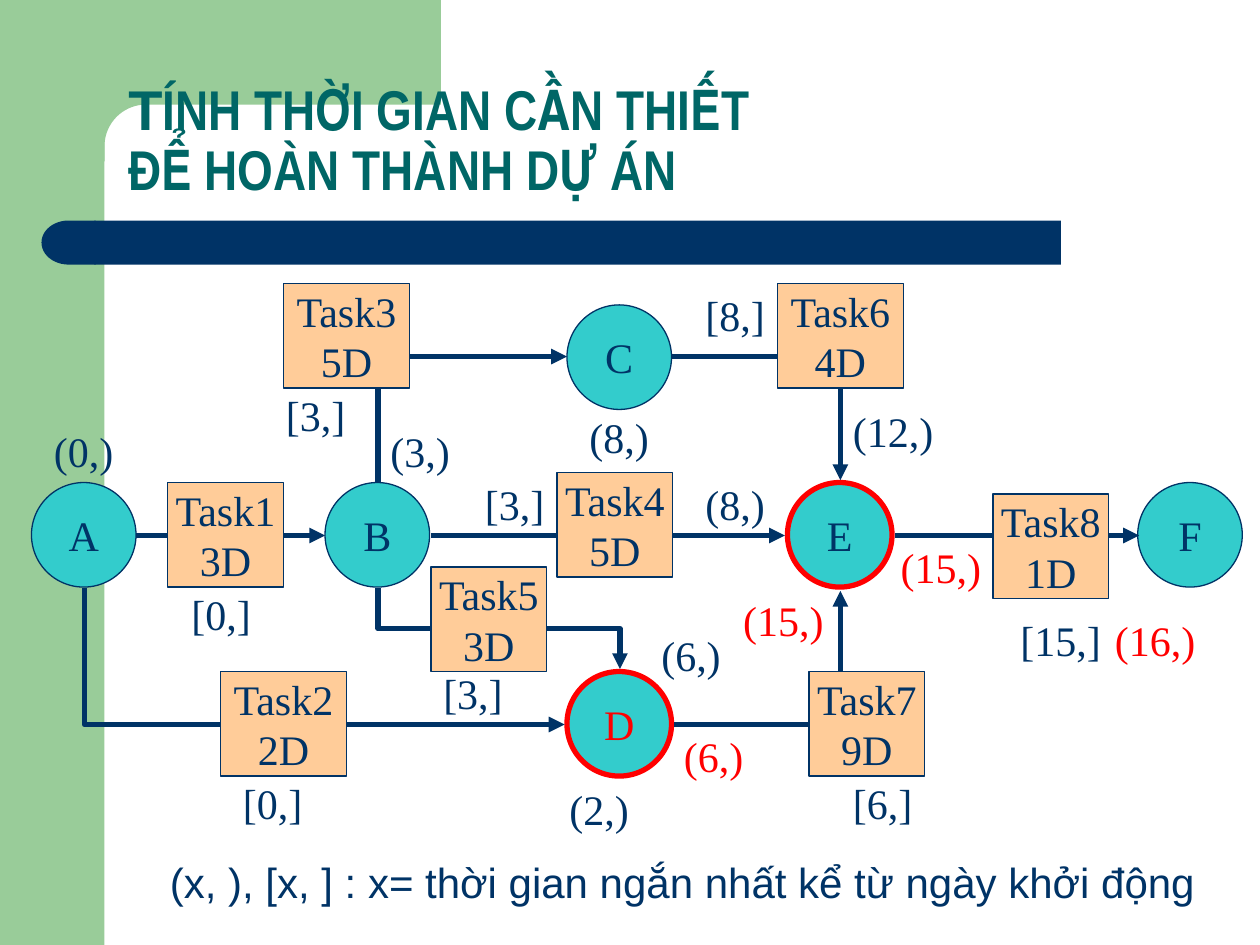
import math
from pptx import Presentation
from pptx import util as u
from pptx.dml import color
from pptx.enum import shapes, text
from pptx.oxml import ns, xmlchemy

NAVY, RED, GREEN, TEAL = "003366", "FF0000", "99CC99", "006666"
CYAN, PEACH = "33CCCC", "FFCC99"
SERIF = "Times New Roman"
KIND = shapes.MSO_SHAPE
SIZE = 0.83  # diameter of an event circle and height of a task box


def rgb(code):
    """Turn a hex string into a colour."""
    return color.RGBColor.from_string(code)


def style(run, size, font, code, bold=False):
    """Format one run."""
    run.font.size, run.font.name, run.font.bold = u.Pt(size), font, bold
    run.font.color.rgb = rgb(code)


def paint(shape, fill, edge=None, width=0.74):
    """Give a shape a flat fill and an optional outline."""
    shape.shadow.inherit = False
    shape.fill.solid()
    shape.fill.fore_color.rgb = rgb(fill)
    if edge:
        shape.line.color.rgb = rgb(edge)
        shape.line.width = u.Pt(width)
    else:
        shape.line.fill.background()


def block(slide, kind, box, fill, edge=None, width=0.74):
    """Add a painted preset shape in the box."""
    shape = slide.shapes.add_shape(kind, *map(u.Inches, box))
    paint(shape, fill, edge, width)
    return shape


def write(shape, words, ink):
    """Centre serif lines in a shape without wrapping."""
    frame = shape.text_frame
    frame.text = words
    frame.word_wrap = False
    frame.vertical_anchor = text.MSO_ANCHOR.MIDDLE
    for para in frame.paragraphs:
        para.alignment = text.PP_ALIGN.CENTER
        style(para.runs[0], 24, SERIF, ink)


def label(slide, words, box, ink=NAVY, font=SERIF):
    """Add a left-aligned label in the box."""
    frame = slide.shapes.add_textbox(*map(u.Inches, box)).text_frame
    frame.text = words
    frame.word_wrap = True
    style(frame.paragraphs[0].runs[0], 24, font, ink)


def frame_art(slide, height):
    """Draw the green side, its rounded corner and the navy bar."""
    block(slide, KIND.RECTANGLE, (0, 0, SIZE, height), GREEN)
    rad = 0.33
    mid = SIZE + rad
    arc = [(mid - rad * math.sin(math.radians(a)), mid - rad * math.cos(math.radians(a)))
           for a in range(0, 91, 5)]
    dots = [(3.5, SIZE)] + arc + [(SIZE, 1.28), (0.5, 1.28), (0.5, 0)]
    pen = slide.shapes.build_freeform(u.Inches(3.5), 0, scale=1.0)
    pen.add_line_segments([(u.Inches(x), u.Inches(y)) for x, y in dots])
    paint(pen.convert_to_shape(), GREEN)
    block(slide, KIND.RECTANGLE, (0.75, 1.75, 7.67, 0.35), NAVY)
    cap = block(slide, KIND.FLOWCHART_DELAY, (0.33, 1.75, 0.43, 0.35), NAVY)
    cap._element.spPr.find(ns.qn("a:xfrm")).set("flipH", "1")


def heading(slide, box):
    """Write the two-line title at the foot of the box."""
    frame = slide.shapes.add_textbox(*map(u.Inches, box)).text_frame
    frame.word_wrap = True
    frame.vertical_anchor = text.MSO_ANCHOR.BOTTOM
    para = frame.paragraphs[0]
    para.line_spacing = 0.9
    para.text = "TÍNH THỜI GIAN CẦN THIẾT \vĐỂ HOÀN THÀNH DỰ ÁN"
    first, last = para.runs
    rest = para.add_run()
    rest.text = first.text[1:]
    first.text = "T"
    first._r.addnext(rest._r)
    style(first, 32, "Arial", TEAL, True)
    for run in (rest, last):
        style(run, 32, "Arial Narrow", TEAL, True)


def arrow(slide, start, end, way="line"):
    """Link two points: "line", "across" first, "down" first or "step"."""
    (x1, y1), (x2, y2) = start, end
    turn = way in ("down", "step")
    if turn:  # the elbow is laid flat about its centre, then turned
        mx, my, dx, dy = (x1 + x2) / 2, (y1 + y2) / 2, x2 - x1, y2 - y1
        x1, y1, x2, y2 = mx + dy / 2, my - dx / 2, mx - dy / 2, my + dx / 2
    kind = shapes.MSO_CONNECTOR.STRAIGHT if way == "line" else shapes.MSO_CONNECTOR.ELBOW
    link = slide.shapes.add_connector(kind, *map(u.Inches, (x1, y1, x2, y2)))
    link.line.color.rgb = rgb(NAVY)
    link.line.width = u.Pt(3)
    props = link._element.spPr
    if turn:
        props.find(ns.qn("a:xfrm")).set("rot", "16200000")
    if way in ("across", "down"):
        props.find(ns.qn("a:prstGeom")).set("prst", "bentConnector2")
    tip = xmlchemy.OxmlElement("a:tailEnd")
    tip.set("type", "triangle")
    link.line._get_or_add_ln().append(tip)
    props.append(xmlchemy.OxmlElement("a:effectLst"))


def network(slide):
    """Draw events, links, tasks and their times."""
    events = [("A", 0.25, 3.83, NAVY, NAVY), ("B", 2.58, 3.83, NAVY, NAVY),
              ("E", 6.25, 3.83, RED, NAVY), ("D", 4.5, 5.33, RED, RED),
              ("C", 4.5, 2.42, NAVY, NAVY), ("F", 9.03, 3.83, NAVY, NAVY)]
    for name, x, y, edge, ink in events:
        disc = block(slide, KIND.OVAL, (x, y, SIZE, SIZE), CYAN, edge,
                     3 if edge == RED else 0.74)
        write(disc, name, ink)

    links = [((3, 3.83), (4.5, 2.83), "down"), ((5.33, 2.83), (6.67, 3.81), "across"),
             ((0.67, 4.67), (4.48, 5.75), "down"), ((5.35, 5.75), (6.67, 4.69), "across"),
             ((3, 4.67), (4.92, 5.31), "step"), ((1.08, 4.25), (2.58, 4.25)),
             ((3.42, 4.25), (6.23, 4.25)), ((7.1, 4.25), (9.04, 4.25))]
    for link in links:
        arrow(slide, *link)

    tasks = [(1, 3, 1.33, 3.83, 0.92), (7, 9, 6.42, 5.33, 0.92),
             (2, 2, 1.75, 5.33, 1), (5, 3, 3.42, 4.5, 0.92),
             (4, 5, 4.42, 3.75, 0.92), (3, 5, 2.25, 2.25, 1),
             (6, 4, 6.17, 2.25, 1), (8, 1, 7.88, 3.92, 0.92)]
    for num, days, *box in tasks:
        task = block(slide, KIND.RECTANGLE, (*box, SIZE), PEACH, NAVY)
        write(task, f"Task{num}\n{days}D", NAVY)

    times = [("(0,)", 0.33, 3.33, 0.75), ("[0,]", 1.42, 4.62, 1.25),
             ("[0,]", 1.83, 6.12, 1), ("(3,)", 3, 3.33, 0.75),
             ("[3,]", 2.17, 3.04, 0.75), ("(8,)", 4.58, 3.22, 0.75),
             ("[8,]", 5.5, 2.25, 0.75), ("(2,)", 4.42, 6.17, 0.92),
             ("(6,)", 5.15, 4.95, 0.75), ("[3,]", 3.42, 5.25, 0.83),
             ("[3,]", 3.75, 3.75, 0.75), ("(12,)", 6.67, 3.17, 1.08),
             ("(8,)", 5.5, 3.75, 0.75), ("(6,)", 5.33, 5.75, 0.75, RED),
             ("[6,]", 6.67, 6.12, 1.08), ("(15,)", 5.8, 4.67, 0.84, RED),
             ("[15,]", 8, 4.83, 0.84), ("(16,)", 8.75, 4.83, 1, RED),
             ("(15,)", 7.05, 4.25, 0.84, RED)]
    for words, x, y, width, *ink in times:
        label(slide, words, (x, y, width, 0.5), *ink)


def main():
    """Build the slide and save it."""
    deck = Presentation()
    deck.slide_width, deck.slide_height = u.Inches(10), u.Inches(7.5)
    slide = deck.slides.add_slide(deck.slide_layouts[6])
    frame_art(slide, 7.5)
    heading(slide, (0.92, 0.83, 7.83, 0.83))
    network(slide)
    label(slide, "(x, ), [x, ] : x= thời gian ngắn nhất kể từ ngày khởi động",
          (1.25, 6.75, 8.42, 0.5), NAVY, "Arial")
    deck.save("out.pptx")


main()
